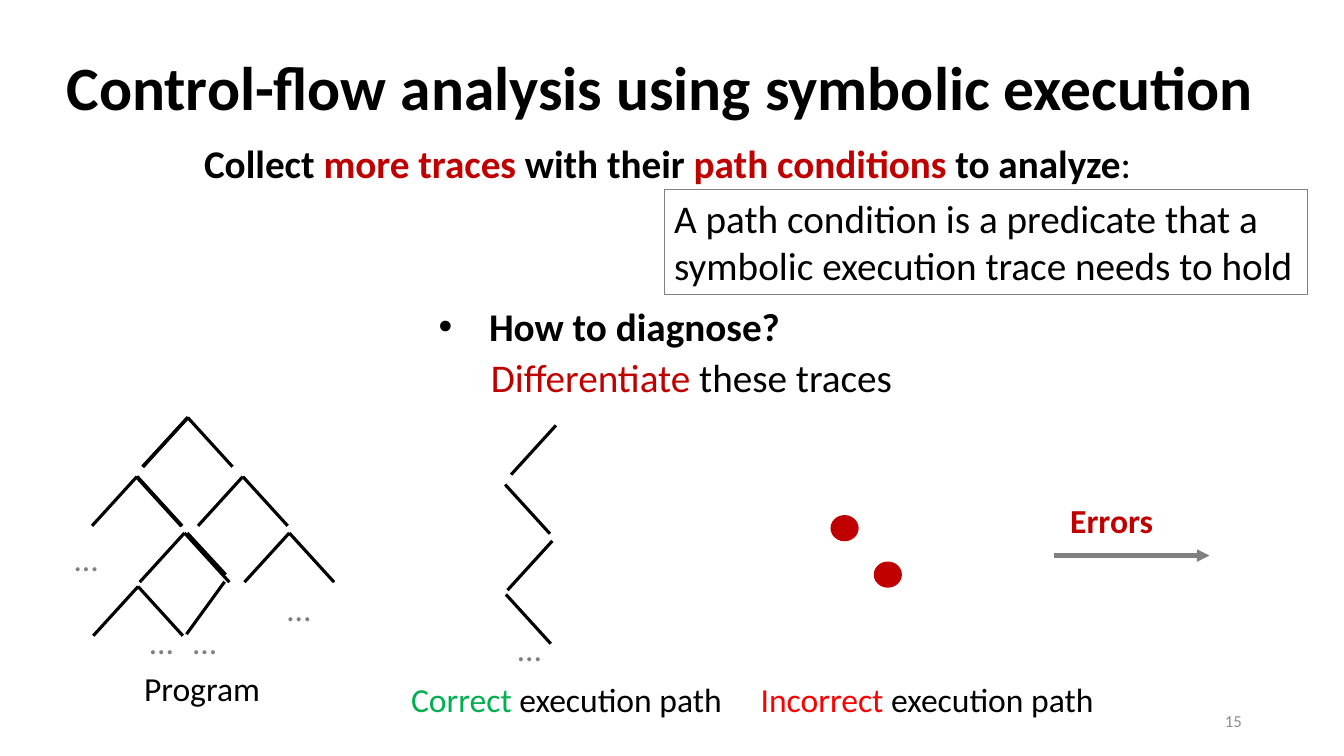
from dataclasses import dataclass

from lxml.etree import SubElement
from pptx import Presentation
from pptx.dml.color import RGBColor
from pptx.enum.shapes import MSO_CONNECTOR, MSO_SHAPE
from pptx.enum.text import MSO_ANCHOR, MSO_AUTO_SIZE, PP_ALIGN
from pptx.oxml.ns import qn
from pptx.util import Cm, Pt


@dataclass(frozen=True)
class Theme:
    font: str = "Calibri"
    black: str = "000000"
    gray: str = "808080"
    page_gray: str = "8C8C8C"
    dark_red: str = "C00000"
    red: str = "FF0000"
    green: str = "00B050"
    title: int = 44
    body: int = 28
    label: int = 24
    page: int = 12
    branch: float = 2.25
    arrow: float = 3
    frame: float = 0.75


THEME = Theme()


def add_run(p, text, size=THEME.label, color=THEME.black, bold=False):
    r = p.add_run()
    r.text = text
    r.font.name = THEME.font
    r.font.size = Pt(size)
    r.font.bold = bold
    r.font.color.rgb = RGBColor.from_string(color)


class SlideBuilder:
    def __init__(self, slide, theme):
        self.slide = slide
        self.theme = theme

    def fill_text(self, sp, runs, align=PP_ALIGN.LEFT, anchor=MSO_ANCHOR.TOP,
                  spacing=None, **fmt):
        tf = sp.text_frame
        tf.word_wrap = True
        tf.auto_size = MSO_AUTO_SIZE.NONE
        tf.vertical_anchor = anchor
        p = tf.paragraphs[0]
        p.alignment = align
        p.space_before = Pt(0)
        if spacing:
            p.line_spacing = spacing
        for text, color in runs:
            add_run(p, text, color=color, **fmt)
        return p

    def placeholder(self, idx, box, runs, bullet=None, **fmt):
        sp = self.slide.placeholders[idx]
        sp.left, sp.top, sp.width, sp.height = map(Cm, box)
        if idx:
            pPr = sp.text_frame.paragraphs[0]._p.get_or_add_pPr()
            indent = Cm(1.27) if bullet else 0
            pPr.set("marL", str(indent))
            pPr.set("indent", str(-indent))
            if bullet:
                SubElement(pPr, qn("a:buFont"), typeface="Arial")
                SubElement(pPr, qn("a:buChar"), char=bullet)
            else:
                SubElement(pPr, qn("a:buNone"))
        return self.fill_text(sp, runs, **fmt)

    def text(self, box, runs, **fmt):
        sp = self.slide.shapes.add_textbox(*map(Cm, box))
        return self.fill_text(sp, runs, **fmt)

    def ellipsis(self, x, y):
        self.text((x, y, 1.42, 1.27), [("…", self.theme.gray)])

    def shape(self, kind, box, fill=None, line=None):
        sp = self.slide.shapes.add_shape(kind, *map(Cm, box))
        sp.shadow.inherit = False
        if fill:
            sp.fill.solid()
            sp.fill.fore_color.rgb = RGBColor.from_string(fill)
        else:
            sp.fill.background()
        if line:
            sp.line.color.rgb = RGBColor.from_string(line)
            sp.line.width = Pt(self.theme.frame)
        else:
            sp.line.fill.background()
        return sp

    def line(self, x1, y1, x2, y2, color=THEME.black, width=THEME.branch, arrow=False):
        c = self.slide.shapes.add_connector(
            MSO_CONNECTOR.STRAIGHT, Cm(x1), Cm(y1), Cm(x2), Cm(y2))
        c.line.color.rgb = RGBColor.from_string(color)
        c.line.width = Pt(width)
        spPr = c._element.spPr
        if arrow:
            SubElement(spPr.find(qn("a:ln")), qn("a:tailEnd"), type="triangle")
        SubElement(spPr, qn("a:effectLst"))

    def branch(self, x, y, side):
        self.line(x, y, x + 1.13 * side, y + 1.24)

    def trace(self, dx=0, dy=0):
        for x, y, side in [(4.74, 10.52, -1), (3.46, 12.01, 1),
                           (4.65, 13.43, -1), (3.48, 14.78, 1)]:
            self.branch(x + dx, y + dy, side)


def main():
    t = THEME
    prs = Presentation()
    prs.slide_width, prs.slide_height = Cm(33.87), Cm(19.05)
    s = SlideBuilder(prs.slides.add_slide(prs.slide_layouts[3]), t)

    s.placeholder(0, (1.42, 0.43, 30.63, 3.68),
                  [("Control-flow analysis using symbolic execution", t.black)],
                  anchor=MSO_ANCHOR.MIDDLE, spacing=0.9, size=t.title, bold=True)
    p = s.placeholder(1, (0, 3.51, 33.87, 13.69),
                      [("Collect ", t.black), ("more traces ", t.dark_red),
                       ("with their", t.black), (" path conditions ", t.dark_red),
                       ("to analyze", t.black)],
                      align=PP_ALIGN.CENTER, spacing=0.9, size=t.body, bold=True)
    add_run(p, ": ", size=t.body)
    s.placeholder(2, (10.8, 7.49, 19.41, 2.64), [("How to diagnose?", t.black)],
                  bullet="•", size=t.body, bold=True)
    s.text((12.12, 8.79, 19.41, 1.45),
           [("Differentiate ", t.dark_red), ("these traces", t.black)], size=t.body)

    callout = s.shape(MSO_SHAPE.RECTANGLE, (16.74, 4.78, 16.21, 2.64), line=t.gray)
    s.fill_text(callout, [("A path condition is a predicate that a symbolic "
                           "execution trace needs to hold", t.black)], size=t.body)

    both = (-1, 1)
    for x, y, sides in [(4.73, 10.52, both), (3.45, 12.01, both), (6.12, 12.01, both),
                        (4.65, 13.43, (1,)), (7.29, 13.43, both), (3.48, 14.78, (-1,))]:
        for side in sides:
            s.branch(x, y, side)

    incorrect_trace = [(4.73, 10.52, 3.59, 11.76), (3.43, 12.01, 4.57, 13.26),
                       (4.72, 13.43, 5.69, 14.48), (5.66, 14.66, 4.7, 15.98)]
    for ends in incorrect_trace:
        s.line(*ends)

    s.trace()
    s.trace(dx=9.27, dy=0.2)

    for x, y in [(1.63, 13.43), (6.99, 14.68), (3.53, 15.52), (4.62, 15.52), (12.8, 15.7)]:
        s.ellipsis(x, y)

    s.text((3.38, 16.71, 3.91, 1.27), [("Program", t.black)])
    for x, width, word, color in [(10.11, 8.74, "Correct ", t.green),
                                  (18.92, 10.06, "Incorrect ", t.red)]:
        s.text((x, 16.99, width, 1.27), [(word, color), ("execution path", t.black)])

    for x, y in [(20.93, 12.98), (22.02, 14.15)]:
        s.shape(MSO_SHAPE.OVAL, (x, y, 0.71, 0.66), fill=t.dark_red)

    s.text((26.72, 12.47, 3.3, 1.27), [("Errors", t.dark_red)], bold=True)
    s.line(26.57, 14, 30.48, 14, color=t.gray, width=t.arrow, arrow=True)

    s.text((23.93, 17.65, 7.62, 1.02), [("15", t.page_gray)],
           align=PP_ALIGN.RIGHT, anchor=MSO_ANCHOR.MIDDLE, size=t.page)

    prs.save("out.pptx")


if __name__ == "__main__":
    main()
